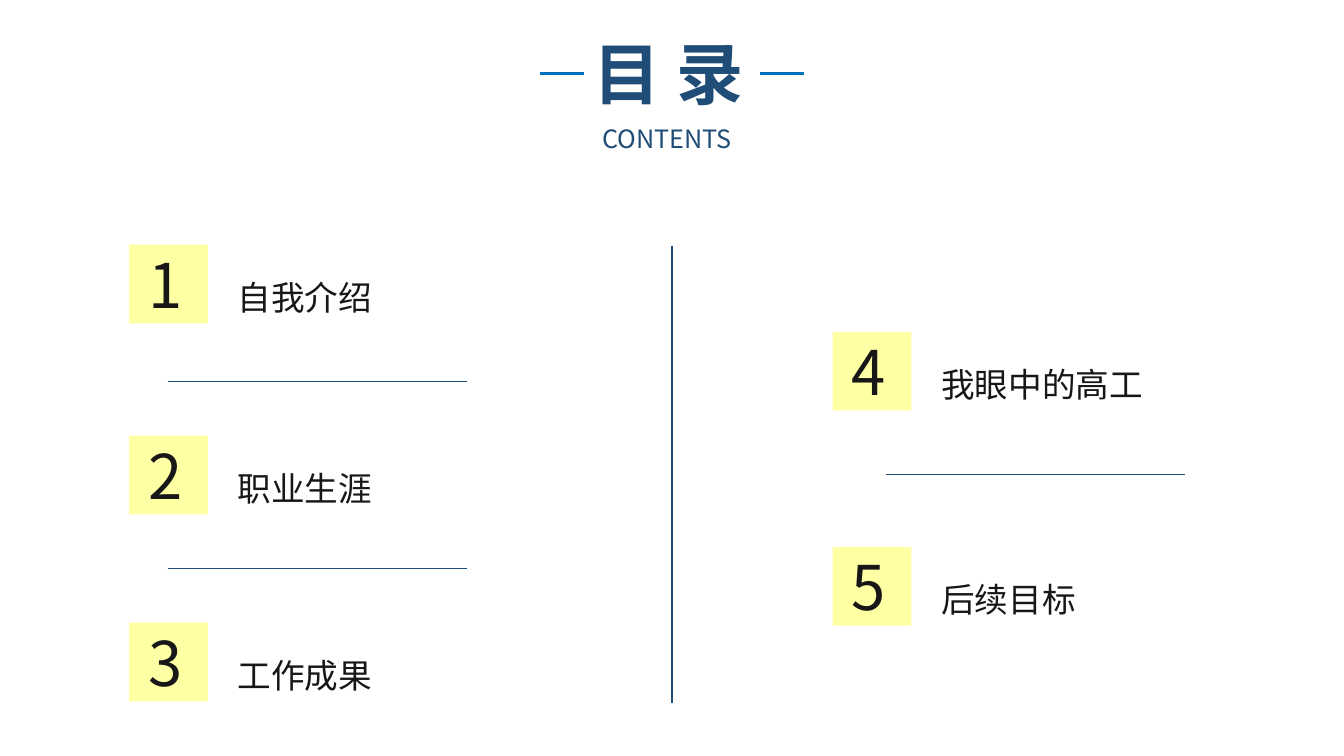
from lxml.etree import SubElement as Sub
from pptx import Presentation
from pptx.dml.color import RGBColor
from pptx.enum.shapes import MSO_CONNECTOR as Conn, MSO_SHAPE as Shape
from pptx.enum.text import MSO_ANCHOR as Anchor, MSO_AUTO_SIZE as Fit, PP_ALIGN as Align
from pptx.oxml.ns import qn
from pptx.util import Pt

SCALE = 9525
FONT = "Noto Sans CJK SC"
COLORS = {"navy": "1F4D77", "blue": "0070C0", "ink": "181717", "tile": "FFFF00"}


def px(*nums):
    return [round(num * SCALE) for num in nums]


def hue(name):
    return RGBColor.from_string(COLORS[name])


def write(shape, text, size, color, bold=False):
    frame = shape.text_frame
    frame.text = text
    frame.word_wrap = True
    frame.auto_size = Fit.SHAPE_TO_FIT_TEXT
    frame.vertical_anchor = Anchor.TOP
    par = frame.paragraphs[0]
    par.alignment = Align.LEFT
    font = par.font
    font.size, font.bold, font.name = Pt(size), bold, FONT
    font.color.rgb = hue(color)
    Sub(par._p.pPr.find(qn("a:defRPr")), qn("a:ea"), typeface=FONT)


def label(slide, box, text, size, color):
    write(slide.shapes.add_textbox(*px(*box)), text, size, color)


def rule(slide, x1, y1, x2, y2, color, width):
    line = slide.shapes.add_connector(Conn.STRAIGHT, *px(x1, y1, x2, y2))
    line.line.color.rgb = hue(color)
    line.line.width = Pt(width)
    Sub(line._element.spPr, qn("a:effectLst"))


def header(slide, x, y, w, h):
    title = slide.shapes.title
    title.left, title.top, title.width, title.height = px(x, y, w, h)
    write(title, "目 录", 48, "navy", True)
    label(slide, (x + 8, y + h, w - 8, 38), "CONTENTS", 18, "navy")
    for left in (x - 42, x + w):
        rule(slide, left, y + 44, left + 42, y + 44, "blue", 1.5)


def entry(slide, x, y, num, text):
    tile = slide.shapes.add_shape(Shape.RECTANGLE, *px(x, y, 75, 75))
    tile.shadow.inherit = False
    tile.line.fill.background()
    tile.fill.solid()
    tile.fill.fore_color.rgb = hue("tile")
    shade = tile._element.spPr.find(qn("a:solidFill"))[0]
    Sub(shade, qn("a:alpha"), val="36000")
    label(slide, (x + 9, y - 3, 57, 81), str(num), 44, "ink")
    label(slide, (x + 94, y + 26, 258, 48), text, 24, "ink")


def column(slide, x, first, items, inset, rules):
    for num, (y, text) in enumerate(items, first):
        entry(slide, x, y, num, text)
    for y in rules:
        rule(slide, x + inset, y, x + inset + 285, y, "navy", 0.5)


def main():
    deck = Presentation()
    deck.slide_width, deck.slide_height = px(1280, 720)
    slide = deck.slides.add_slide(deck.slide_layouts[5])
    header(slide, 556, 26, 168, 87)
    rule(slide, 640, 234, 640, 670, "navy", 1.25)
    left = [(233, "自我介绍"), (415, "职业生涯"), (593, "工作成果")]
    right = [(316, "我眼中的高工"), (521, "后续目标")]
    column(slide, 123, 1, left, 37, (363, 541))
    column(slide, 793, 4, right, 51, (452,))
    deck.save("out.pptx")


if __name__ == "__main__":
    main()
